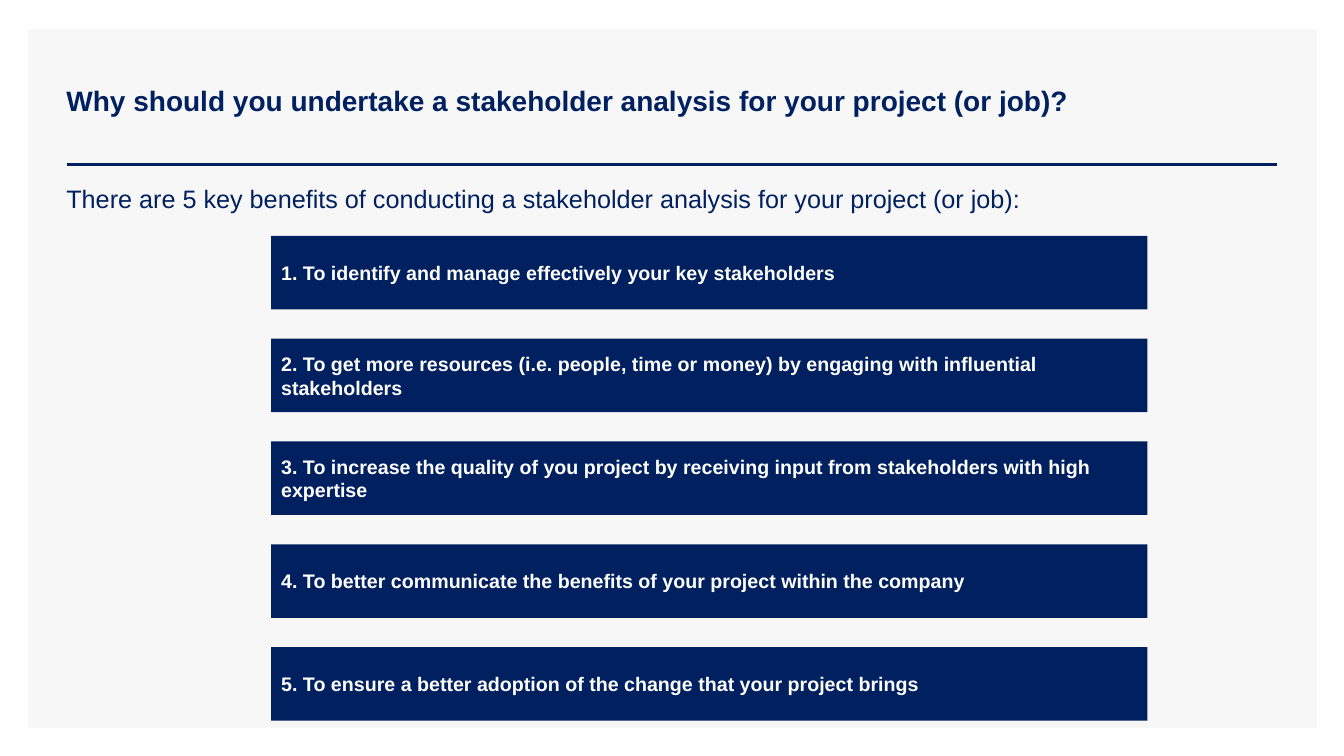
import dataclasses

import pptx
import pptx.dml.color
import pptx.enum.shapes
import pptx.enum.text
import pptx.oxml.ns
import pptx.shapes.autoshape
import pptx.slide
import pptx.util
from lxml import etree

Inches = pptx.util.Inches
RGBColor = pptx.dml.color.RGBColor
Anchor = pptx.enum.text.MSO_ANCHOR

NAVY = RGBColor(0x00, 0x20, 0x60)
GREY = RGBColor(0xF7, 0xF7, 0xF7)
WHITE = RGBColor(0xFF, 0xFF, 0xFF)

BAR_TOP = 2.34
BAR_STEP = 1.02
GOALS = (
    "To identify and manage effectively your key stakeholders",
    "To get more resources (i.e. people, time or money) by engaging with influential stakeholders",
    "To increase the quality of you project by receiving input from stakeholders with high expertise",
    "To better communicate the benefits of your project within the company",
    "To ensure a better adoption of the change that your project brings",
)


@dataclasses.dataclass(frozen=True)
class Box:
    left: float
    top: float
    width: float
    height: float

    def place(self) -> tuple[pptx.util.Length, ...]:
        return tuple(Inches(side) for side in dataclasses.astuple(self))


@dataclasses.dataclass(frozen=True)
class Label:
    text: str
    size: int
    color: RGBColor
    bold: bool = True
    anchor: Anchor = Anchor.MIDDLE


def write(shape: pptx.shapes.autoshape.Shape, label: Label) -> None:
    frame = shape.text_frame
    frame.text = label.text
    frame.word_wrap = True
    frame.vertical_anchor = label.anchor
    line = frame.paragraphs[0]
    line.alignment = pptx.enum.text.PP_ALIGN.LEFT
    font = line.runs[0].font
    font.name = "Arial"
    font.size = pptx.util.Pt(label.size)
    font.bold = label.bold
    font.color.rgb = label.color


def add_text(slide: pptx.slide.Slide, box: Box, label: Label) -> None:
    write(slide.shapes.add_textbox(*box.place()), label)


def add_panel(
    slide: pptx.slide.Slide, box: Box, color: RGBColor
) -> pptx.shapes.autoshape.Shape:
    kind = pptx.enum.shapes.MSO_SHAPE.RECTANGLE
    panel = slide.shapes.add_shape(kind, *box.place())
    panel.shadow.inherit = False
    panel.fill.solid()
    panel.fill.fore_color.rgb = color
    panel.line.fill.background()
    return panel


def add_rule(slide: pptx.slide.Slide, left: float, right: float, top: float) -> None:
    rule = slide.shapes.add_connector(
        pptx.enum.shapes.MSO_CONNECTOR.STRAIGHT,
        Inches(left), Inches(top), Inches(right), Inches(top),
    )
    rule.line.color.rgb = NAVY
    rule.line.width = pptx.util.Pt(2)
    etree.SubElement(rule._element.spPr, pptx.oxml.ns.qn("a:effectLst"))


def main() -> None:
    deck = pptx.Presentation()
    deck.slide_width = Inches(13.33)
    deck.slide_height = Inches(7.5)
    slide = deck.slides.add_slide(deck.slide_layouts[6])

    add_panel(slide, Box(0.28, 0.29, 12.78, 6.93), GREY)
    add_rule(slide, 0.66, 12.67, 1.63)
    title = "Why should you undertake a stakeholder analysis for your project (or job)?"
    add_text(slide, Box(0.56, 0.4, 12.11, 1.19), Label(title, 20, NAVY))
    intro = "There are 5 key benefits of conducting a stakeholder analysis for your project (or job):"
    add_text(
        slide,
        Box(0.56, 1.77, 11.79, 0.4),
        Label(intro, 18, NAVY, bold=False, anchor=Anchor.TOP),
    )

    for index, goal in enumerate(GOALS):
        box = Box(2.69, BAR_TOP + index * BAR_STEP, 8.69, 0.73)
        write(add_panel(slide, box, NAVY), Label(f"{index + 1}. {goal}", 14, WHITE))

    deck.save("out.pptx")


if __name__ == "__main__":
    main()
